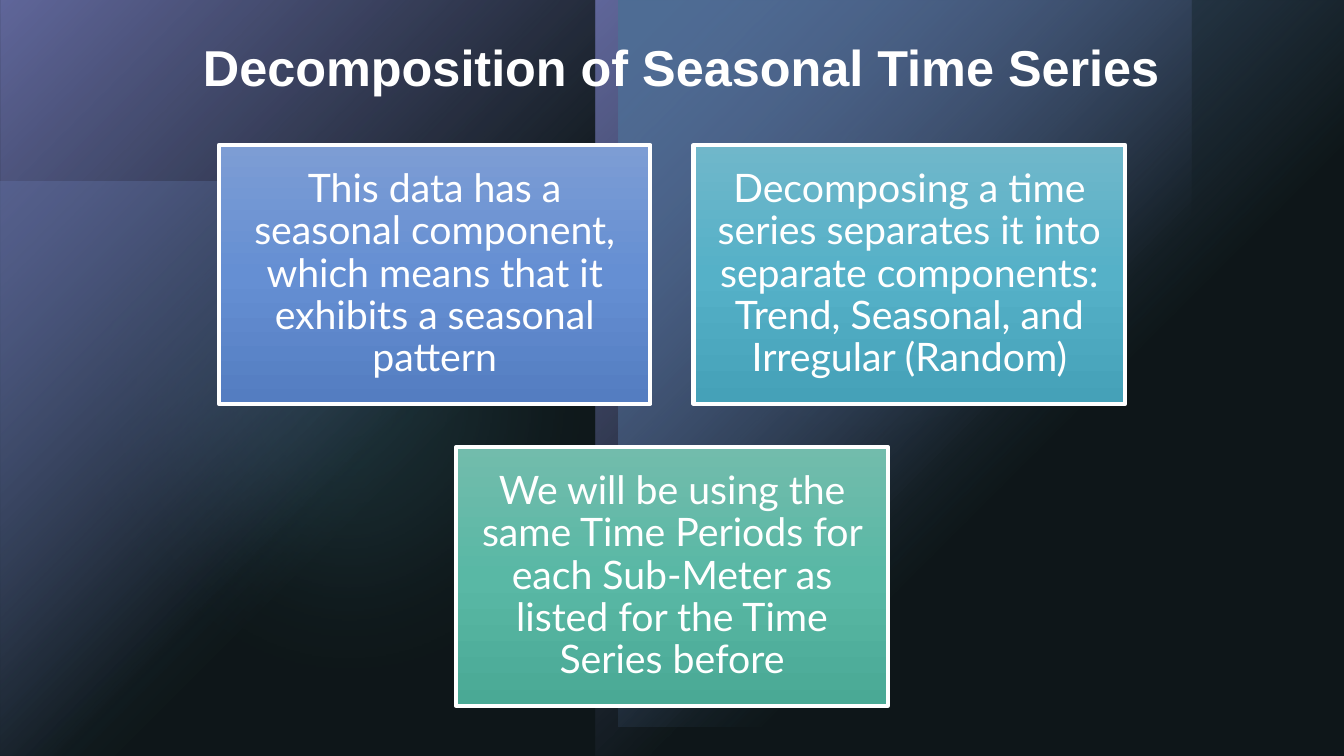
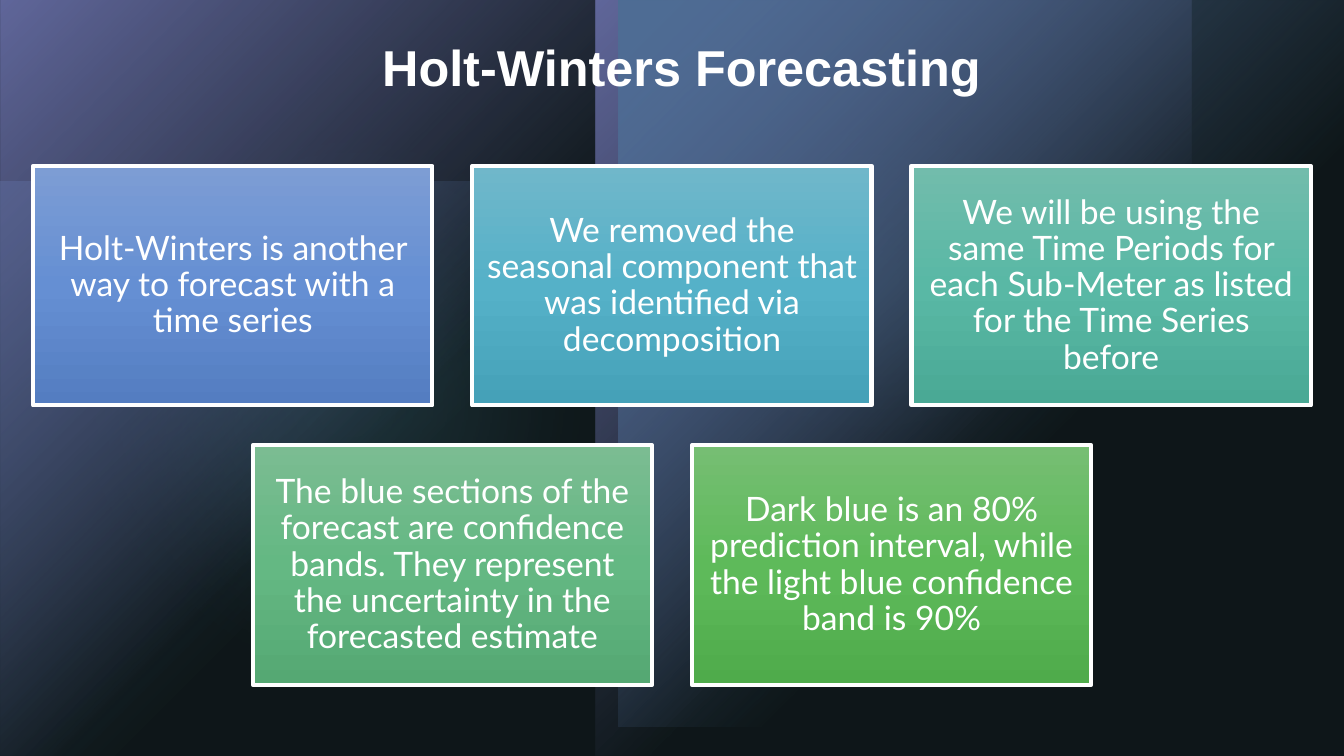
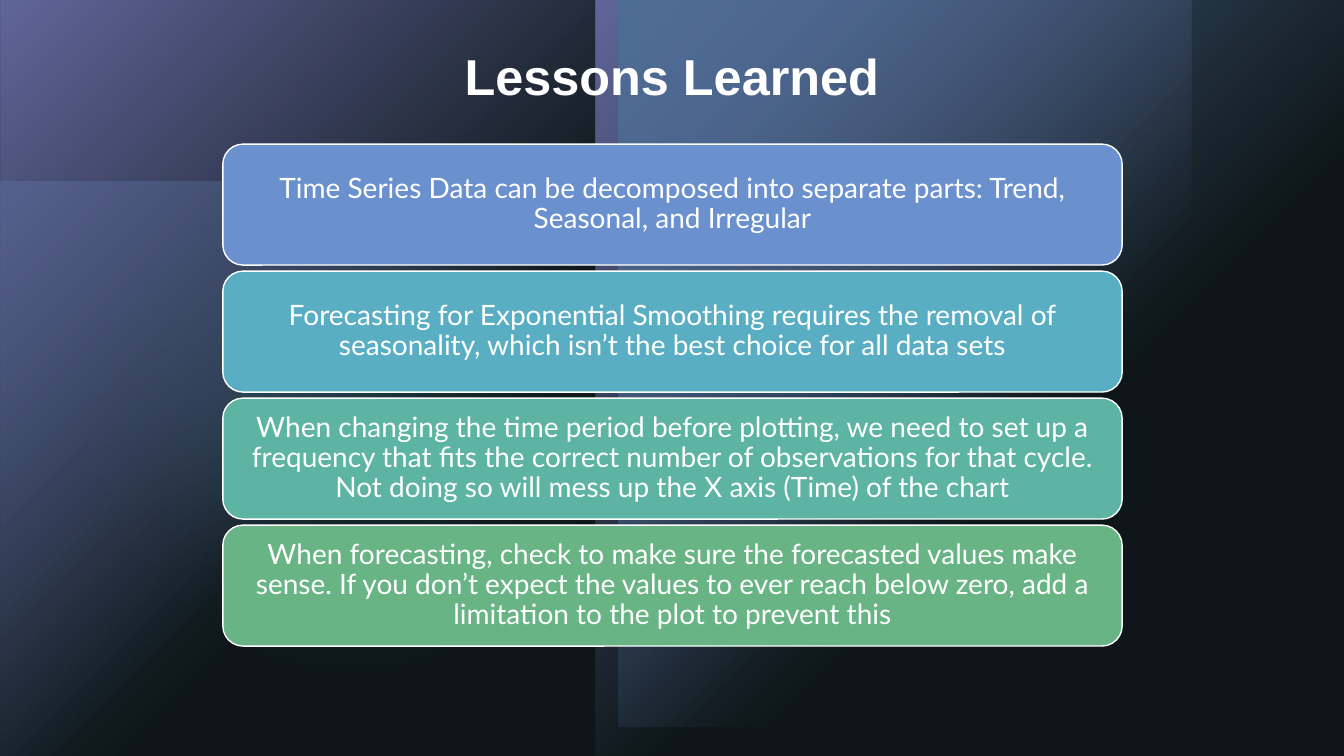
from lxml import etree
from pptx import Presentation
from pptx import util as u
from pptx.dml.color import RGBColor
from pptx.enum import shapes, text
from pptx.oxml import ns

WHITE = RGBColor(0xFF, 0xFF, 0xFF)
BLACK = RGBColor(0x00, 0x00, 0x00)
VEIL = RGBColor(0x24, 0x39, 0x3F)
PURPLE = RGBColor(0x88, 0x85, 0xD7)
BLUE = RGBColor(0x6A, 0x90, 0xCE)
TEAL = RGBColor(0x5A, 0xAE, 0xC3)
SEA = RGBColor(0x5D, 0xB4, 0xA2)
GREEN = RGBColor(0x68, 0xB4, 0x84)
TILE_SHADES = [
    [RGBColor(0x7D, 0x9D, 0xD4), RGBColor(0x65, 0x8F, 0xD3), RGBColor(0x54, 0x7D, 0xC1)],
    [RGBColor(0x70, 0xB7, 0xCA), RGBColor(0x55, 0xB1, 0xC8), RGBColor(0x45, 0xA1, 0xB8)],
    [RGBColor(0x72, 0xBC, 0xAC), RGBColor(0x59, 0xB8, 0xA5), RGBColor(0x4A, 0xA9, 0x95)],
    [RGBColor(0x7B, 0xBC, 0x92), RGBColor(0x64, 0xB8, 0x83), RGBColor(0x55, 0xA8, 0x73)],
    [RGBColor(0x76, 0xBE, 0x73), RGBColor(0x5E, 0xBA, 0x5A), RGBColor(0x4F, 0xAB, 0x4B)],
]
RECT = shapes.MSO_SHAPE.RECTANGLE
OVAL = shapes.MSO_SHAPE.OVAL
ROUNDED = shapes.MSO_SHAPE.ROUNDED_RECTANGLE
LINEAR = '<a:lin ang="5400000" scaled="0"/>'
CORNER = '<a:path path="circle"><a:fillToRect r="100000" b="100000"/></a:path>'


def write(frame, words, size, font="Lato", bold=False, inset=0.1, anchor=text.MSO_ANCHOR.MIDDLE):
    frame.word_wrap = True
    frame.auto_size = text.MSO_AUTO_SIZE.NONE
    frame.vertical_anchor = anchor
    frame.margin_left = frame.margin_right = u.Inches(inset)
    frame.margin_top = frame.margin_bottom = u.Inches(inset)
    frame.text = words
    line = frame.paragraphs[0]
    line.alignment = text.PP_ALIGN.CENTER
    line.line_spacing = 0.9
    line.font.name, line.font.size, line.font.bold = font, u.Pt(size), bold
    line.font.color.rgb = WHITE


def shade(shape, stops, direction):
    marks = "".join(
        f'<a:gs pos="{place * 1000}"><a:srgbClr val="{color}">'
        f'<a:alpha val="{alpha * 1000}"/></a:srgbClr></a:gs>'
        for place, color, alpha in stops)
    gradient = etree.fromstring(
        f'<a:gradFill {ns.nsdecls("a")} rotWithShape="1"><a:gsLst>{marks}</a:gsLst>{direction}</a:gradFill>')
    shape.fill.background()
    blank = shape._element.spPr.find(ns.qn("a:noFill"))
    blank.getparent().replace(blank, gradient)


deck = Presentation()
deck.slide_width, deck.slide_height = u.Inches(13.33), u.Inches(7.5)
WIDTH, HEIGHT = 13.33, 7.5
master = deck.slide_master
master.background.fill.solid()
master.background.fill.fore_color.rgb = BLACK
title_only = deck.slide_layouts[5]

decomposition, forecasting, lessons = [deck.slides.add_slide(title_only) for _ in range(3)]

BACKDROP = [
    (RECT, 0, 1.8, 5.71, 5.71, 0, "V", BLUE, 60, True),
    (OVAL, 6.29, 0.43, 4.72, 4.72, 0, "V", TEAL, 60, False),
    (OVAL, 0, 0.56, 6.94, 6.94, 0, "V", TEAL, 20, False),
    (RECT, 0, 0, 5.91, HEIGHT, 180, "V", PURPLE, 100, True),
    (RECT, 5.91, 0, 5.91, HEIGHT, 180, "HV", PURPLE, 100, True),
    (RECT, 6.13, 0, 7.21, 7.21, 180, "V", BLUE, 100, True),
    (RECT, 0, 0, WIDTH, HEIGHT, 0, "", VEIL, 40, False),
]
for layer, (kind, left, top, wide, high, turn, flips, color, alpha, fades) in enumerate(BACKDROP):
    glow = decomposition.shapes.add_shape(kind, *map(u.Inches, (left, top, wide, high)))
    glow.rotation = turn
    glow.shadow.inherit = False
    glow.line.fill.background()
    for flip in flips:
        glow._element.spPr.xfrm.set("flip" + flip, "1")
    if fades:
        shade(glow, [(0, color, alpha), (60, color, 0)], CORNER)
    else:
        glow.fill.solid()
        glow.fill.fore_color.rgb = color
        tint = glow._element.spPr.find(ns.qn("a:solidFill"))[0]
        etree.SubElement(tint, ns.qn("a:alpha"), val=str(alpha * 1000))
    if kind == OVAL:
        effects = glow._element.spPr.find(ns.qn("a:effectLst"))
        etree.SubElement(effects, ns.qn("a:softEdge"), rad="1270000")
    master.shapes._spTree.insert(2 + layer, glow._element)

for slide, heading, left, top, wide in [
    (decomposition, "Decomposition of Seasonal Time Series", 1.17, 0.39, 11.18),
    (forecasting, "Holt-Winters Forecasting", 1.17, 0.39, 11.18),
    (lessons, "Lessons Learned", 0.61, 0.48, 12.11),
]:
    title = slide.shapes.title
    title.left, title.top, title.width, title.height = map(u.Inches, (left, top, wide, 0.63))
    write(title.text_frame, heading, 36, font="Arial", bold=True, inset=0.05,
          anchor=text.MSO_ANCHOR.BOTTOM)

PERIODS = "We will be using the same Time Periods for each Sub-Meter as listed for the Time Series before"
TILE_GRIDS = [
    (decomposition, 4.28, 28, 0.12, [
        ["This data has a seasonal component, which means that it exhibits a seasonal pattern",
         "Decomposing a time series separates it into separate components: "
         "Trend, Seasonal, and Irregular (Random)"],
        [PERIODS],
    ]),
    (forecasting, 3.96, 24, 0.1, [
        ["Holt-Winters is another way to forecast with a time series",
         "We removed the seasonal component that was identified via decomposition",
         PERIODS],
        ["The blue sections of the forecast are confidence bands. "
         "They represent the uncertainty in the forecasted estimate",
         "Dark blue is an 80% prediction interval, while the light blue confidence band is 90%"],
    ]),
]
GRID_MIDDLE = 4.22
for slide, wide, size, inset, rows in TILE_GRIDS:
    high, gap = 0.6 * wide, 0.1 * wide
    shades = iter(TILE_SHADES)
    grid_top = GRID_MIDDLE - (len(rows) * (high + gap) - gap) / 2
    for row, statements in enumerate(rows):
        row_left = (WIDTH - len(statements) * (wide + gap) + gap) / 2
        for column, statement in enumerate(statements):
            tile = slide.shapes.add_shape(RECT, *map(u.Inches, (
                row_left + column * (wide + gap), grid_top + row * (high + gap), wide, high)))
            tile.shadow.inherit = False
            light, middle, dark = next(shades)
            shade(tile, [(0, light, 100), (50, middle, 100), (100, dark, 100)], LINEAR)
            tile.line.color.rgb, tile.line.width = WHITE, u.Pt(3)
            write(tile.text_frame, statement, size, inset=inset)

LESSONS = [
    (BLUE, "Time Series Data can be decomposed into separate parts: Trend, Seasonal, and Irregular"),
    (TEAL, "Forecasting for Exponential Smoothing requires the removal of seasonality, "
           "which isn’t the best choice for all data sets"),
    (SEA, "When changing the time period before plotting, we need to set up a frequency that fits "
          "the correct number of observations for that cycle. "
          "Not doing so will mess up the X axis (Time) of the chart"),
    (GREEN, "When forecasting, check to make sure the forecasted values make sense. If you don’t expect "
            "the values to ever reach below zero, add a limitation to the plot to prevent this"),
]
for row, (color, lesson) in enumerate(LESSONS):
    bar = lessons.shapes.add_shape(ROUNDED, *map(u.Inches, (2.21, 1.43 + row * 1.26, 8.92, 1.2)))
    bar.shadow.inherit = False
    bar.fill.solid()
    bar.fill.fore_color.rgb = color
    bar.line.color.rgb, bar.line.width = WHITE, u.Pt(1)
    write(bar.text_frame, lesson, 20, inset=0.08)

deck.save("out.pptx")
